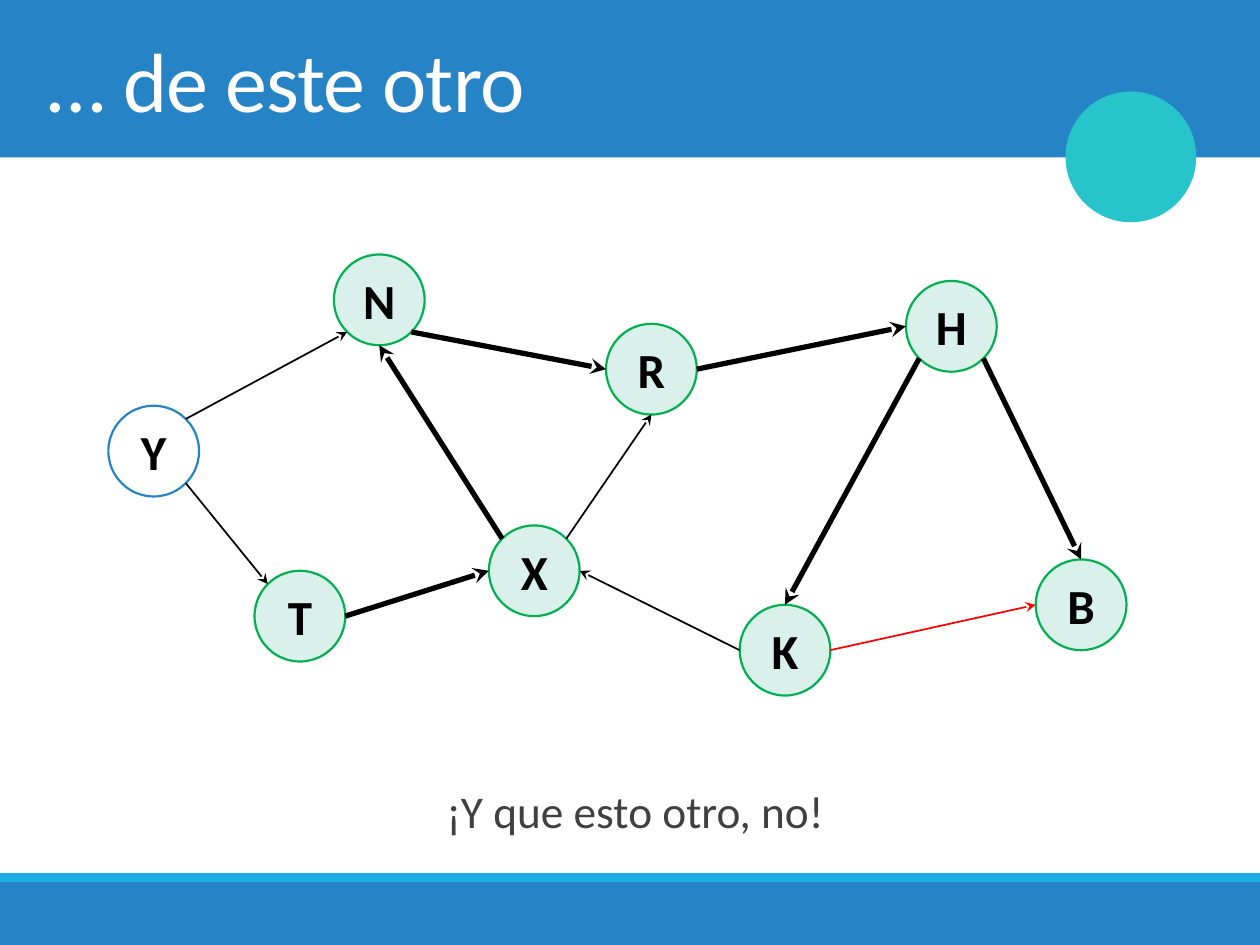
from math import sqrt

from pptx import Presentation
from pptx import util as u
from pptx.dml.color import RGBColor
from pptx.enum import shapes, text
from pptx.oxml import ns, xmlchemy

COLORS = {
    "band": "2683C6", "stripe": "1CADE4", "badge": "28C4CC", "paper": "FFFFFF",
    "visited": "D9F1EA", "visited_edge": "00B050", "ink": "000000",
    "body": "404040", "alert": "FF0000",
}
NODE_SIZE = 7.2
NODES = {
    "Y": (8.6, 32.2), "N": (26.5, 20.2), "T": (20.2, 45.3), "X": (38.8, 41.7),
    "R": (48.1, 25.7), "K": (58.7, 48), "H": (71.9, 22.3), "B": (82.2, 44.4),
}
DIAGONAL = 1 / sqrt(2)
SIDES = {
    "N": (0, -1), "S": (0, 1), "W": (-1, 0), "E": (1, 0),
    "NW": (-DIAGONAL, -DIAGONAL), "NE": (DIAGONAL, -DIAGONAL),
    "SW": (-DIAGONAL, DIAGONAL), "SE": (DIAGONAL, DIAGONAL),
}
EDGES = [
    ("Y", "NE", "N", "SW", "ink", 1), ("Y", "SE", "T", "NW", "ink", 1),
    ("N", "SE", "R", "W", "ink", 3), ("T", "E", "X", "W", "ink", 3),
    ("X", "NE", "R", "S", "ink", 1), ("R", "E", "H", "W", "ink", 3),
    ("H", "SW", "K", "N", "ink", 3), ("X", "NW", "N", "S", "ink", 3),
    ("K", "W", "X", "E", "ink", 1), ("K", "E", "B", "W", "alert", 1),
    ("H", "SE", "B", "N", "ink", 3),
]


def rgb(name):
    return RGBColor.from_string(COLORS[name])


def rim_point(node, side):
    radius = NODE_SIZE / 2
    return [start + radius * (1 + step) for start, step in zip(NODES[node], SIDES[side])]


class GraphSlide:
    """Draws a directed graph slide on a grid of 100 columns by 75 rows."""

    def __init__(self, deck):
        self.cell = deck.slide_width / 100
        self.page = deck.slides.add_slide(deck.slide_layouts[5])

    def grid(self, *lengths):
        return [u.Emu(round(length * self.cell)) for length in lengths]

    def label(self, shape, words, font, paragraph, frame):
        box = shape.text_frame
        box.text = words
        para = box.paragraphs[0]
        span = para.runs[0]
        frame = {"word_wrap": True, "auto_size": text.MSO_AUTO_SIZE.NONE, **frame}
        font = {"name": "Calibri", **font}
        color = font.pop("color")
        for target, values in ((box, frame), (para, paragraph), (span.font, font)):
            for key, value in values.items():
                setattr(target, key, value)
        span.font.color.rgb = rgb(color)

    def shape(self, kind, place, fill, edge=None, width=0):
        shape = self.page.shapes.add_shape(kind, *self.grid(*place))
        shape.shadow.inherit = False
        shape.fill.solid()
        shape.fill.fore_color.rgb = rgb(fill)
        if edge:
            shape.line.color.rgb = rgb(edge)
            shape.line.width = u.Pt(width)
        else:
            shape.line.fill.background()
        return shape

    def title(self, words, place):
        title = self.page.shapes.title
        title.left, title.top, title.width, title.height = self.grid(*place)
        self.label(title, words, {"size": u.Pt(48), "color": "paper"},
                   {"alignment": text.PP_ALIGN.LEFT},
                   {"vertical_anchor": text.MSO_ANCHOR.MIDDLE})
        for props in title.element.iter(ns.qn("a:rPr")):
            props.set("spc", "-50")
        title.element.getparent().append(title.element)

    def caption(self, words, place):
        box = self.page.shapes.add_textbox(*self.grid(*place))
        self.label(box, words, {"size": u.Pt(25.9), "color": "body"},
                   {"alignment": text.PP_ALIGN.CENTER, "line_spacing": 1.3,
                    "space_before": u.Pt(12), "space_after": u.Pt(2)},
                   {"margin_left": u.Inches(0.17)})

    def node(self, name, fill, edge):
        circle = self.shape(shapes.MSO_SHAPE.OVAL, (*NODES[name], NODE_SIZE, NODE_SIZE),
                            fill, edge, 1.25)
        margins = {f"margin_{side}": 0 for side in ("left", "right", "top", "bottom")}
        self.label(circle, name, {"size": u.Pt(28), "bold": True, "color": "ink"},
                   {"alignment": text.PP_ALIGN.CENTER},
                   {"vertical_anchor": text.MSO_ANCHOR.MIDDLE, **margins})

    def arrow(self, start, end, color, width):
        arrow = self.page.shapes.add_connector(
            shapes.MSO_CONNECTOR.STRAIGHT, *self.grid(*start, *end))
        arrow.line.color.rgb = rgb(color)
        arrow.line.width = u.Pt(width)
        head = xmlchemy.OxmlElement("a:tailEnd")
        head.set("type", "stealth")
        props = arrow.element.spPr
        props.find(ns.qn("a:ln")).append(head)
        props.append(xmlchemy.OxmlElement("a:effectLst"))


def main():
    deck = Presentation()
    deck.slide_width, deck.slide_height = u.Inches(10), u.Inches(7.5)
    slide = GraphSlide(deck)
    for place, fill in (((0, 0, 100, 12.5), "band"), ((0, 70, 100, 5), "band"),
                        ((0, 69.3, 100, 0.7), "stripe")):
        slide.shape(shapes.MSO_SHAPE.RECTANGLE, place, fill)
    slide.shape(shapes.MSO_SHAPE.OVAL, (84.7, 7.4, 10.1, 10.1), "badge", "badge", 2)
    slide.title("… de este otro", (2.8, 0, 94.5, 12.5))
    slide.caption("¡Y que esto otro, no!", (2.8, 60.4, 94.5, 6.3))
    for name in NODES:
        fill, edge = ("paper", "band") if name == "Y" else ("visited", "visited_edge")
        slide.node(name, fill, edge)
    for source, leave, target, enter, color, width in EDGES:
        slide.arrow(rim_point(source, leave), rim_point(target, enter), color, width)
    deck.save("out.pptx")


if __name__ == "__main__":
    main()
